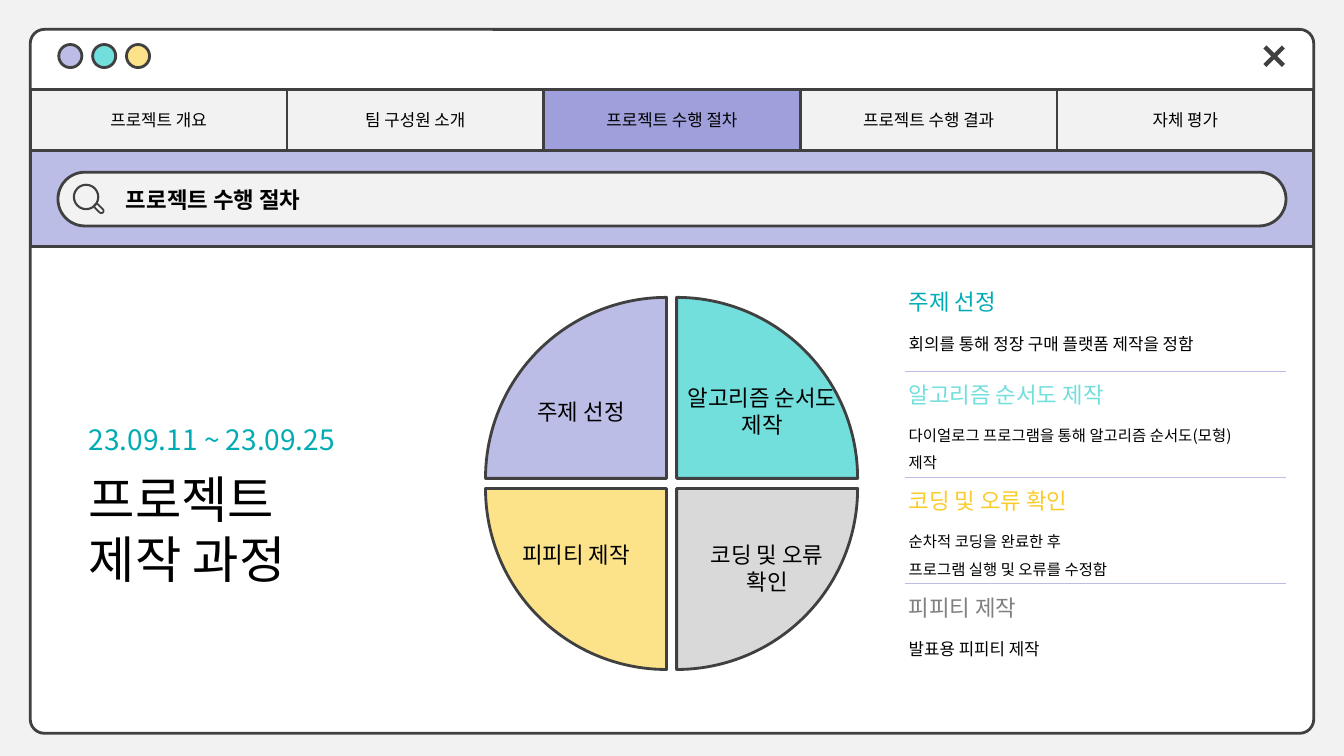
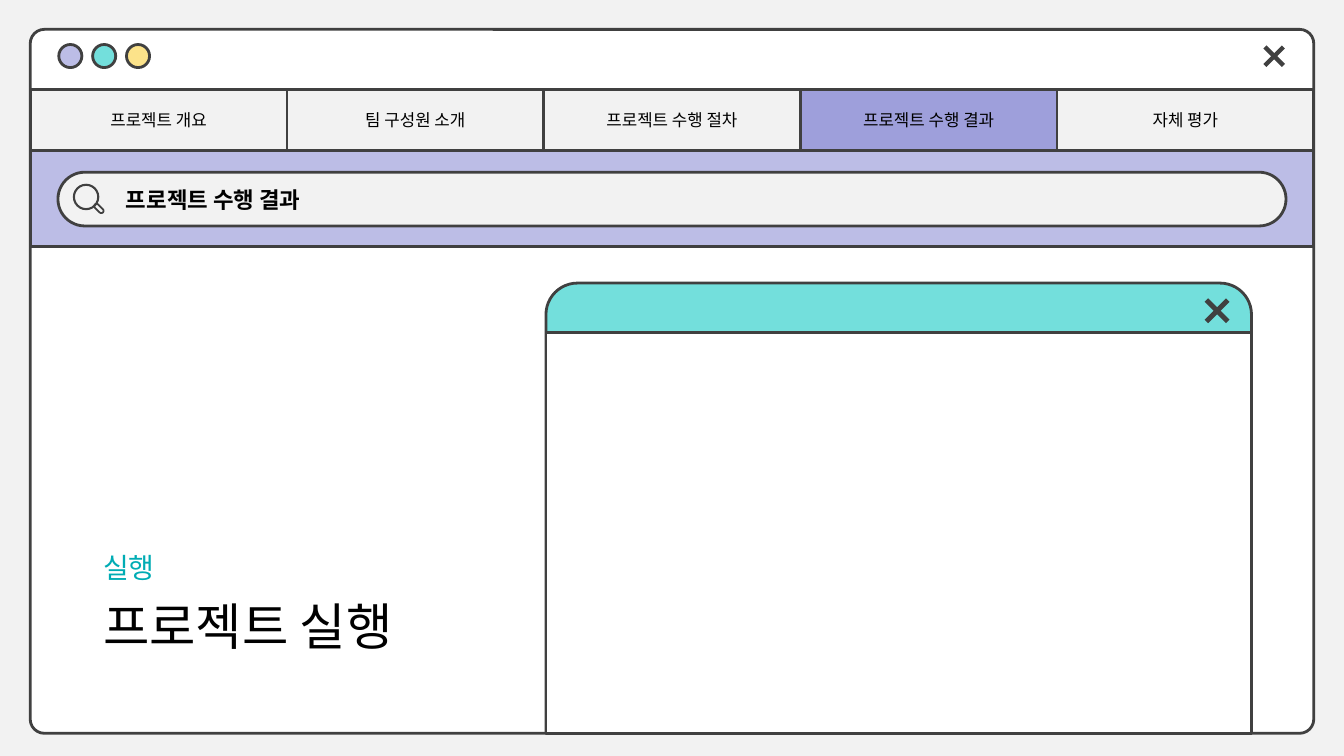
import collections

import lxml.etree
import pptx
import pptx.dml.color
import pptx.enum.shapes
import pptx.enum.text
import pptx.oxml.ns
import pptx.util

SHAPE = pptx.enum.shapes.MSO_SHAPE
ALIGN = pptx.enum.text.PP_ALIGN
ANCHOR = pptx.enum.text.MSO_ANCHOR
qn = pptx.oxml.ns.qn

# The slide is a grid of square cells; every length below counts cells
COLUMNS, ROWS = 160, 90
CELL = pptx.util.Inches(7.5) / ROWS

INK, BLACK, WHITE, PALE = "404040", "000000", "FFFFFF", "F2F2F2"
LILAC, VIOLET, AQUA, YELLOW, GREY = "BCBDE6", "9E9FDB", "73DFDC", "FCE38A", "D9D9D9"
TEAL, GOLD, DARK_GREY = "00ACB4", "FACC2B", "808080"
LATIN, KOREAN = "Lato", "Noto Sans CJK KR"
TABS = ["프로젝트 개요", "팀 구성원 소개", "프로젝트 수행 절차", "프로젝트 수행 결과", "자체 평가"]


class Box(collections.namedtuple("Box", "left top width height")):
    def inside(self, left, top, width, height):
        """Box whose place is measured from this box's corner."""
        return Box(self.left + left, self.top + top, width, height)

    def lengths(self):
        return [cells(value) for value in self]


WINDOW = Box(3.6, 3.5, COLUMNS - 7.2, 83.8)


def cells(count):
    return pptx.util.Emu(round(count * CELL))


# Basic parts
def paint(fill, colour):
    fill.solid()
    fill.fore_color.rgb = pptx.dml.color.RGBColor.from_string(colour)


def write(shape, text, size=12, colour=BLACK, bold=False, face=LATIN,
          align=ALIGN.LEFT, anchor=ANCHOR.TOP, spacing=None):
    frame = shape.text_frame
    frame.word_wrap = True
    frame.auto_size = pptx.enum.text.MSO_AUTO_SIZE.NONE
    frame.vertical_anchor = anchor
    for index, line in enumerate(text.split("\n")):
        para = frame.add_paragraph() if index else frame.paragraphs[0]
        para.alignment = align
        if spacing:
            para.line_spacing = spacing
        span = para.add_run()
        span.text = line
        span.font.size = pptx.util.Pt(size)
        span.font.bold = bold
        span.font.name = face
        paint(span.font.fill, colour)
    # Hangul takes the East Asian typeface
    for props in shape.element.iter(qn("a:rPr")):
        lxml.etree.SubElement(props, qn("a:ea"), typeface=KOREAN)


def add_text(page, box, text, **style):
    write(page.shapes.add_textbox(*box.lengths()), text, **style)


def add_part(page, kind, box, fill=None, line=INK, weight=2, round_by=None, turn=0):
    shape = page.shapes.add_shape(kind, *box.lengths())
    shape.shadow.inherit = False
    shape.rotation = turn
    if fill:
        paint(shape.fill, fill)
    else:
        shape.fill.background()
    if line:
        paint(shape.line.fill, line)
        shape.line.width = pptx.util.Pt(weight)
    else:
        shape.line.fill.background()
    if round_by is not None:
        shape.adjustments[0] = round_by
    return shape


def add_rule(page, left, top, length):
    rule = page.shapes.add_connector(
        pptx.enum.shapes.MSO_CONNECTOR.STRAIGHT,
        cells(left), cells(top), cells(left + length), cells(top))
    paint(rule.line.fill, LILAC)
    rule.line.width = pptx.util.Pt(0.5)
    lxml.etree.SubElement(rule.element.spPr, qn("a:effectLst"))


def add_cross(page, box):
    length, thickness = 1.2 * box.width, 0.2 * box.width
    bar = box.inside((box.width - length) / 2, (box.height - thickness) / 2, length, thickness)
    for turn in (45, 315):
        add_part(page, SHAPE.RECTANGLE, bar, INK, line=None, turn=turn)


# Browser window shared by every slide
def add_tabs(page, box, active):
    width = box.width / len(TABS)
    for index, label in enumerate(TABS):
        tab = add_part(page, SHAPE.RECTANGLE, box.inside(index * width, 0, width, box.height),
                       VIOLET if label == active else PALE)
        write(tab, label, align=ALIGN.CENTER, anchor=ANCHOR.MIDDLE)


def add_search_band(page, box, text):
    add_part(page, SHAPE.RECTANGLE, box, LILAC)
    add_part(page, SHAPE.ROUNDED_RECTANGLE, box.inside(3.3, 2.6, box.width - 6.6, 6.4),
             PALE, round_by=0.5)
    # Magnifier: lens and handle
    add_part(page, SHAPE.OVAL, box.inside(5.2, 4.1, 2.9, 2.9), weight=1.5)
    add_part(page, SHAPE.ROUNDED_RECTANGLE, box.inside(7.5, 6.65, 1.35, 0.55),
             weight=1.25, round_by=0.5, turn=45)
    # The title goes in front of the band
    title = page.shapes.title
    title.left, title.top, title.width, title.height = box.inside(10.2, 3.6, 123.2, 4.4).lengths()
    title.element.getparent().append(title.element)
    write(title, text, size=16, bold=True)


def add_browser_page(deck, title):
    page = deck.slides.add_slide(deck.slide_layouts[5])
    box = WINDOW
    add_part(page, SHAPE.ROUNDED_RECTANGLE, box, WHITE, round_by=0.02)
    for index, colour in enumerate([LILAC, AQUA, YELLOW]):
        add_part(page, SHAPE.OVAL, box.inside(3.4 + index * 4.03, 1.8, 2.75, 2.75), colour)
    add_cross(page, box.inside(146.8, 1.9, 2.6, 2.6))
    add_tabs(page, box.inside(0, 7.2, box.width, 7.2), title)
    add_search_band(page, box.inside(0, 14.4, box.width, 11.5), title)
    return page


# Regions of the slide bodies
def add_headline(page, box, kicker, text, kicker_face=LATIN):
    add_text(page, box.inside(0, 0, box.width, 5.3), kicker,
             size=20, colour=TEAL, face=kicker_face)
    add_text(page, box.inside(0, 5.4, box.width, box.height - 5.4), text, size=36)


def add_wheel(page, box, gap=1.2):
    radius = (box.width - gap) / 2
    wedges = [  # column, row, turn, colour, label
        (0, 0, 0, LILAC, "주제 선정"),
        (1, 0, 90, AQUA, "알고리즘 순서도 제작"),
        (1, 1, 180, GREY, "코딩 및 오류\n확인"),
        (0, 1, 270, YELLOW, "피피티 제작"),
    ]
    for column, row, turn, colour, label in wedges:
        wedge = box.inside(column * (radius + gap), row * (radius + gap), radius, radius)
        add_part(page, SHAPE.PIE_WEDGE, wedge, colour, turn=turn)
        # Upper labels lean towards the hub
        lean = 0 if row else 0.6 - 1.2 * column
        add_text(page, wedge.inside(lean, 5.7 if row else 9.7, radius, 7.7), label, size=16,
                 align=ALIGN.CENTER, anchor=ANCHOR.TOP if row else ANCHOR.MIDDLE)


def add_steps(page, box, first_rule=10.5, pitch=12.65):
    steps = [  # colour, heading, body size, body
        (TEAL, "주제 선정", 12, "회의를 통해 정장 구매 플랫폼 제작을 정함"),
        (AQUA, "알고리즘 순서도 제작", 11, "다이얼로그 프로그램을 통해 알고리즘 순서도(모형)제작"),
        (GOLD, "코딩 및 오류 확인", 11, "순차적 코딩을 완료한 후\n프로그램 실행 및 오류를 수정함"),
        (DARK_GREY, "피피티 제작", 12, "발표용 피피티 제작"),
    ]
    for index, (colour, heading, size, body) in enumerate(steps):
        top = 0
        if index:
            rule = first_rule + (index - 1) * pitch
            add_rule(page, box.left + 0.8, box.top + rule, box.width - 0.8)
            top = rule + 0.6
        add_text(page, box.inside(0, top, 42.8, 4.4), heading, size=16, colour=colour)
        add_text(page, box.inside(0, top + 4.2, 42.8, 7.9), body,
                 size=size, face=KOREAN, spacing=1.5)


def add_popup(page, box, bar=5.9):
    add_part(page, SHAPE.ROUND_2_SAME_RECTANGLE, box, AQUA, round_by=0.07)
    add_part(page, SHAPE.RECTANGLE, box.inside(0, bar, box.width, box.height - bar), WHITE)
    add_cross(page, box.inside(box.width - 5.6, 1.8, 3, 3))


# Slides
def add_process_page(deck):
    page = add_browser_page(deck, "프로젝트 수행 절차")
    add_wheel(page, Box(57.8, 35.4, 44.3, 44.3))
    add_headline(page, Box(9.4, 49.7, 52.6, 21.1), "23.09.11 ~ 23.09.25",
                 "프로젝트\n제작 과정", kicker_face=KOREAN)
    add_steps(page, Box(107, 33.7, 46.1, 45.2))


def add_result_page(deck):
    page = add_browser_page(deck, "프로젝트 수행 결과")
    add_headline(page, Box(11.1, 64.9, 52.6, 13.9), "실행", "프로젝트 실행")
    add_popup(page, Box(65, 33.7, 84, 53.6))


def main():
    deck = pptx.Presentation()
    deck.slide_width, deck.slide_height = cells(COLUMNS), cells(ROWS)
    paint(deck.slide_master.background.fill, PALE)
    add_process_page(deck)
    add_result_page(deck)
    deck.save("out.pptx")


if __name__ == "__main__":
    main()
